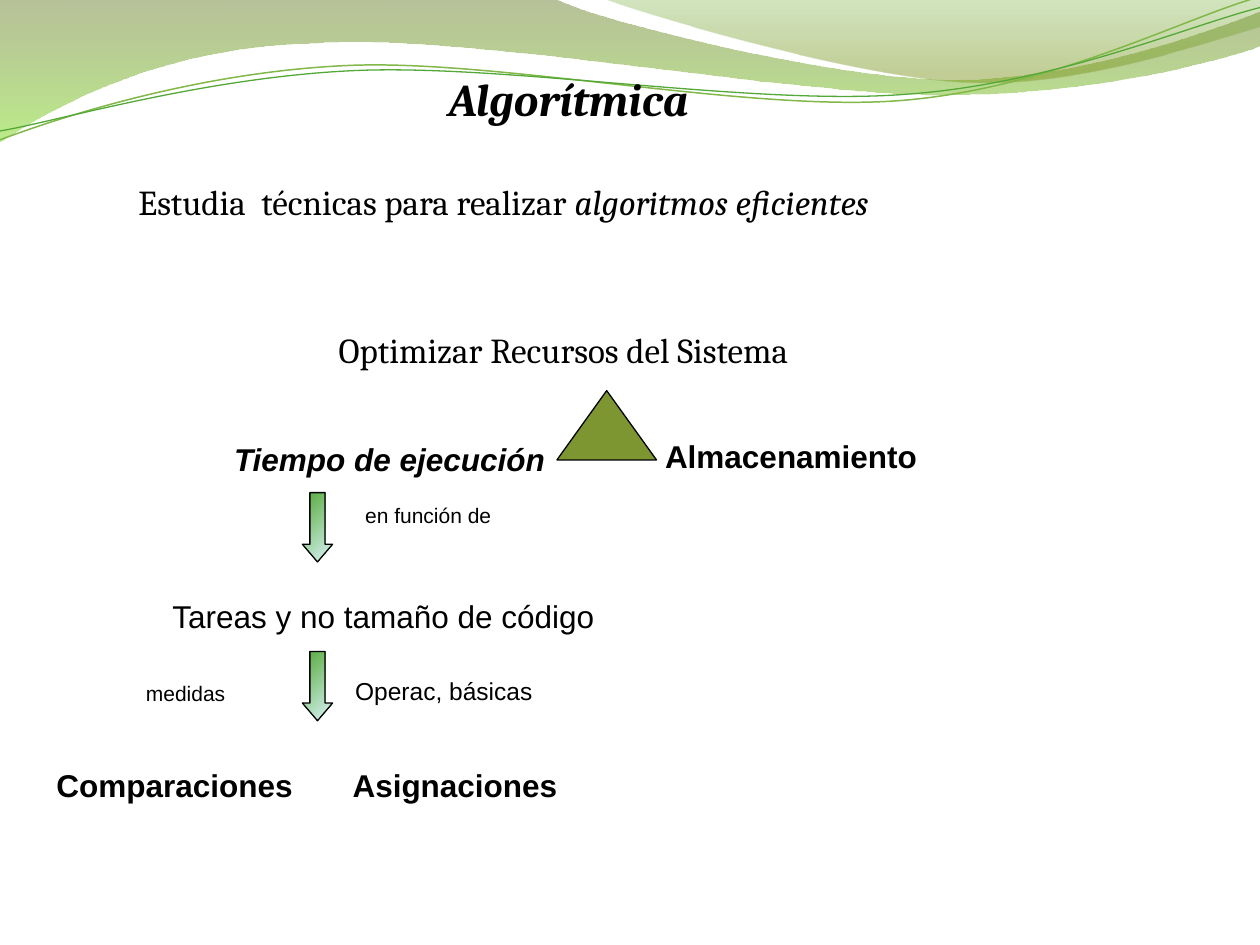
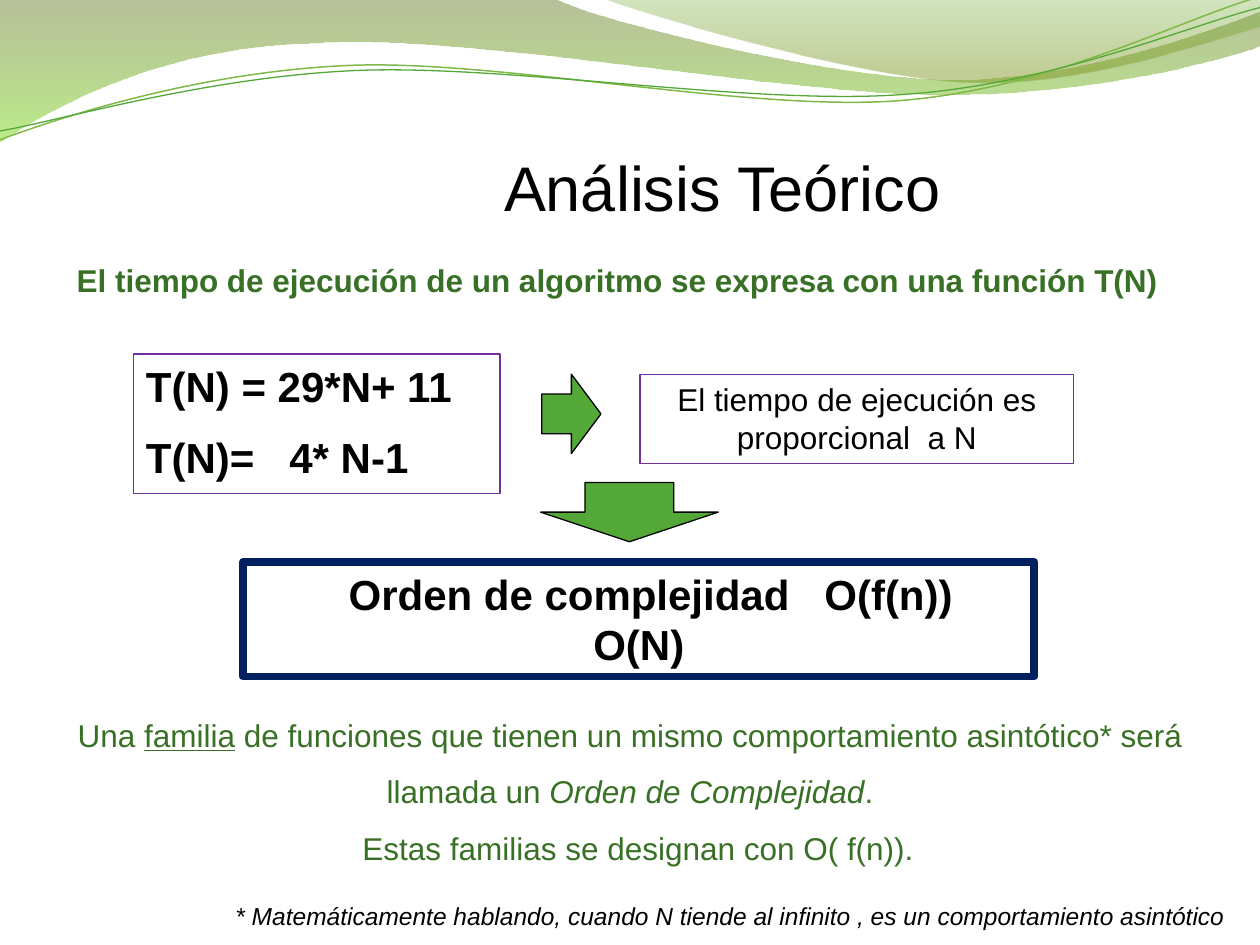
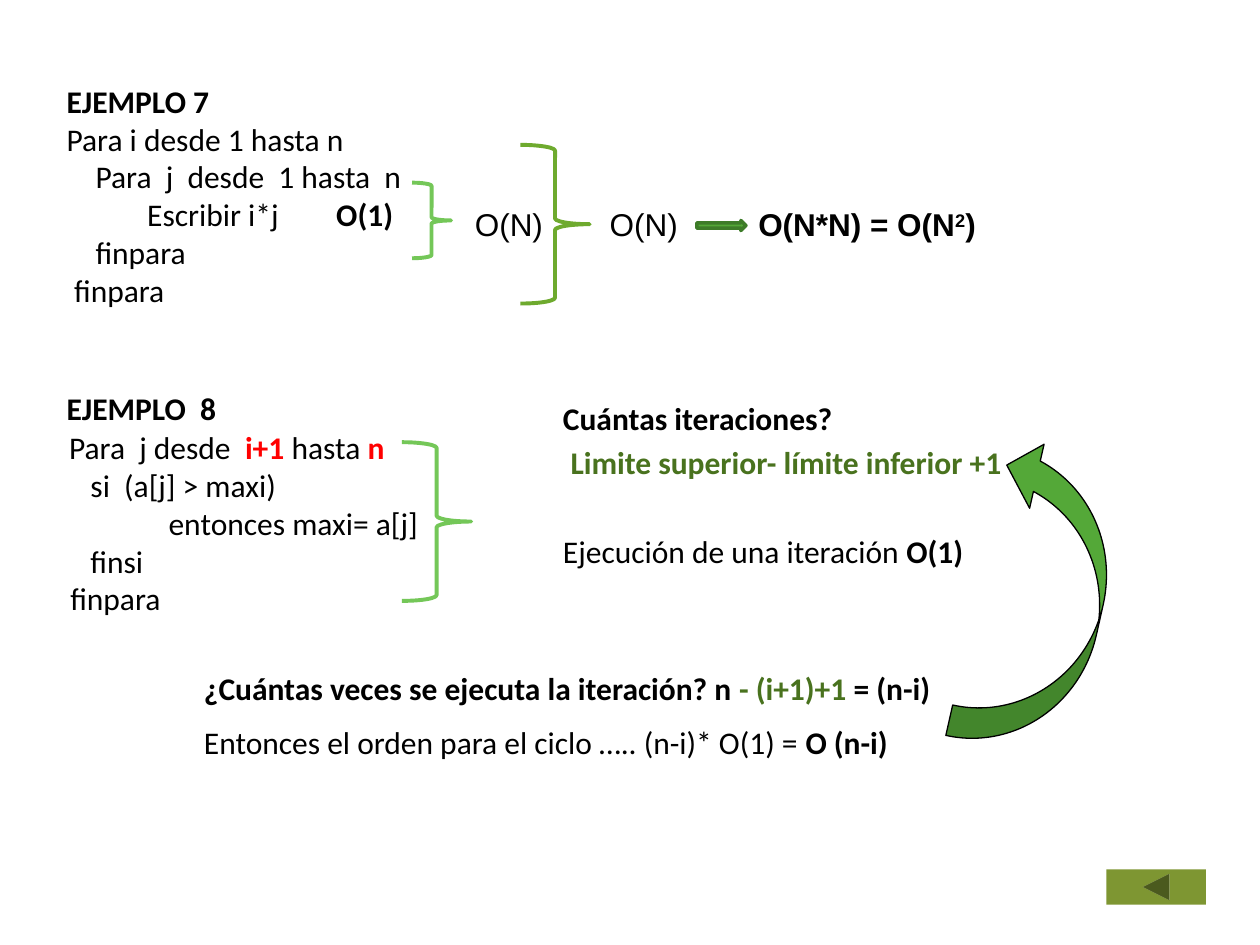
from dataclasses import dataclass
from typing import NamedTuple

from lxml.etree import SubElement
from pptx import Presentation
from pptx.dml.color import RGBColor
from pptx.enum.shapes import MSO_SHAPE
from pptx.enum.text import MSO_ANCHOR, MSO_AUTO_SIZE, PP_ALIGN
from pptx.oxml.ns import qn
from pptx.util import Emu, Pt

PX = 9144  # EMU per px, at 100 px to the inch
FIRST_WAVE_ID = 20

COLORS = {
    "black": "000000",
    "white": "FFFFFF",
    "red": "FF0000",
    "green": "54A838",
    "edge_green": "3E7C29",
    "text_green": "387025",
    "formula_green": "49721E",
    "olive": "7E9632",
    "pale_blue": "DBF5F9",
    "purple": "7030A0",
    "navy": "002060",
    "light_brace": "74C758",
    "dark_brace": "6EAA2E",
    "wave_olive": "61761E",
    "wave_lime": "85DD29",
    "wave_leaf": "6CA82D",
    "wave_moss": "79951B",
    "wave_line": "81B847",
}


class Box(NamedTuple):
    left: int
    top: int
    width: int
    height: int

    def emu(self) -> list[Emu]:
        return [Emu(length * PX) for length in self]


class Stop(NamedTuple):
    color: str
    position: float
    alpha: int = 100


class Gradient(NamedTuple):
    first: Stop
    last: Stop
    clockwise: int


@dataclass(frozen=True)
class Run:
    text: str
    bold: bool | None = None
    italic: bool | None = None
    underline: bool | None = None
    color: str | None = None
    superscript: bool = False


@dataclass(frozen=True)
class Para:
    runs: tuple[Run, ...]
    indent: int = 0
    space_before: float = 0
    tabs: tuple[int, ...] = ()


@dataclass(frozen=True)
class Wave:
    """An outline whose segments hold one point (line) or three (curve)."""
    start: tuple[int, int]
    segments: tuple
    fill: Gradient | None = None
    line: tuple[str, float] | None = None


WAVES = (
    Wave((0, 0), (
        ((440, -1),),
        ((476, 17), (664, 63), (758, 63)),
        ((853, 63), (958, 26), (1000, 9)),
        ((1001, 36),),
        ((983, 44), (870, 76), (746, 75)),
        ((622, 75), (382, 28), (257, 34)),
        ((129, 36), (46, 83), (-1, 113)),
    ), fill=Gradient(Stop("wave_olive", 0, 45), Stop("wave_lime", 1, 55), 90)),
    Wave((479, -1), (
        ((509, 11), (682, 62), (769, 65)),
        ((856, 69), (961, 32), (1000, 21)),
        ((1000, 0),),
    ), fill=Gradient(Stop("wave_leaf", 0, 30), Stop("wave_moss", 0.8, 45), 90)),
    Wave((0, 111), (
        ((48, 93), (158, 57), (277, 52)),
        ((395, 47), (593, 89), (713, 80)),
        ((833, 71), (938, 15), (998, -2)),
    ), line=("wave_line", 0.85)),
    Wave((0, 104), (
        ((47, 96), (164, 61), (283, 56)),
        ((403, 51), (597, 84), (717, 75)),
        ((836, 67), (941, 21), (1000, 6)),
    ), line=("green", 0.75)),
)


def rgb(name: str) -> RGBColor:
    return RGBColor.from_string(COLORS[name])


def style(shape, fill: str | Gradient | None, line: tuple[str, float] | None) -> None:
    shape.shadow.inherit = False
    if fill is None:
        shape.fill.background()
    elif isinstance(fill, Gradient):
        shape.fill.gradient()
        shape.fill.gradient_angle = (360 - fill.clockwise) % 360
        for target, stop in zip(shape.fill.gradient_stops, (fill.first, fill.last)):
            target.color.rgb = rgb(stop.color)
            target.position = stop.position
        colors = list(shape.element.spPr.iter(qn("a:srgbClr")))
        for color, stop in zip(colors, (fill.first, fill.last)):
            if stop.alpha < 100:
                SubElement(color, qn("a:alpha"), val=str(stop.alpha * 1000))
    else:
        shape.fill.solid()
        shape.fill.fore_color.rgb = rgb(fill)
    if line is None:
        shape.line.fill.background()
    else:
        shape.line.color.rgb = rgb(line[0])
        shape.line.width = Pt(line[1])


def bend(shape, segments: tuple) -> None:
    """Turn each three-point segment of a freeform into one Bézier curve."""
    lines = iter(list(shape.element.spPr.iter(qn("a:lnTo"))))
    for segment in segments:
        group = [next(lines) for _ in segment]
        if len(group) == 3:
            curve = SubElement(group[0].getparent(), qn("a:cubicBezTo"))
            group[0].addprevious(curve)
            for line in group:
                curve.append(line[0])
                line.getparent().remove(line)


def draw_wave(slide, wave: Wave):
    builder = slide.shapes.build_freeform(*wave.start, scale=PX)
    points = [point for segment in wave.segments for point in segment]
    builder.add_line_segments(points, close=wave.fill is not None)
    shape = builder.convert_to_shape()
    bend(shape, wave.segments)
    style(shape, wave.fill, wave.line)
    return shape


def put_waves_on_layout(slide) -> None:
    """Draw the wave band once, behind every slide of this slide's layout."""
    layout_tree = slide.slide_layout.shapes.element
    for index, wave in enumerate(WAVES):
        element = draw_wave(slide, wave).element
        element.nvSpPr.cNvPr.set("id", str(FIRST_WAVE_ID + index))
        layout_tree.insert(2 + index, element)


def draw_shape(slide, kind: MSO_SHAPE, box: Box, fill=None, line=None,
               adjustments: tuple[float, ...] = (), rotation: float = 0):
    shape = slide.shapes.add_shape(kind, *box.emu())
    style(shape, fill, line)
    for index, value in enumerate(adjustments):
        shape.adjustments[index] = value
    shape.rotation = rotation
    return shape


def para(*runs: str | Run, indent: int = 0, space_before: float = 0,
         tabs: tuple[int, ...] = ()) -> Para:
    return Para(tuple(Run(run) if isinstance(run, str) else run for run in runs),
                indent, space_before, tabs)


def write_text(shape, *paragraphs: str | Para, size: float = 18, font: str = "Arial",
               color: str = "black", bold: bool = False, italic: bool = False,
               align: PP_ALIGN = PP_ALIGN.LEFT, line_spacing: float | None = None) -> None:
    frame = shape.text_frame
    frame.word_wrap = True
    frame.auto_size = MSO_AUTO_SIZE.NONE
    frame.vertical_anchor = MSO_ANCHOR.TOP
    for index, content in enumerate(paragraphs):
        content = para(content) if isinstance(content, str) else content
        paragraph = frame.paragraphs[0] if index == 0 else frame.add_paragraph()
        paragraph.alignment = align
        paragraph.space_before = Pt(content.space_before)
        if line_spacing:
            paragraph.line_spacing = line_spacing
        properties = paragraph._p.get_or_add_pPr()
        if content.indent:
            properties.set("marL", str(content.indent * PX))
        if content.tabs:
            tab_list = SubElement(properties, qn("a:tabLst"))
            for tab in content.tabs:
                SubElement(tab_list, qn("a:tab"), pos=str(tab * PX), algn="l")
        for part in content.runs:
            run = paragraph.add_run()
            run.text = part.text
            run.font.size = Pt(size)
            run.font.name = font
            run.font.bold = bold if part.bold is None else part.bold
            run.font.italic = italic if part.italic is None else part.italic
            run.font.underline = part.underline
            run.font.color.rgb = rgb(part.color or color)
            if part.superscript:
                run._r.get_or_add_rPr().set("baseline", "30000")


def add_text(slide, box: Box, *paragraphs: str | Para, **text_format) -> None:
    write_text(slide.shapes.add_textbox(*box.emu()), *paragraphs, **text_format)


def add_titled_slide(deck, title: str, box: Box, **text_format):
    slide = deck.slides.add_slide(deck.slide_layouts[5])
    heading = slide.shapes.title
    heading.left, heading.top, heading.width, heading.height = box.emu()
    write_text(heading, title, **text_format)
    return slide


def build_algorithmics(deck) -> None:
    slide = add_titled_slide(deck, "Algorítmica", Box(346, 51, 300, 59),
                             size=26, font="Cambria", bold=True, italic=True)
    put_waves_on_layout(slide)
    add_text(slide, Box(100, 138, 900, 160),
             para("Estudia  técnicas para realizar ",
                  Run("algoritmos eficientes", italic=True)),
             para("Optimizar Recursos del Sistema", indent=159, space_before=60.6),
             size=20, font="Cambria")

    add_text(slide, Box(176, 344, 307, 40), "Tiempo de ejecución", bold=True, italic=True)
    add_text(slide, Box(518, 342, 323, 40), "Almacenamiento", bold=True)
    for arrow_top in (391, 517):
        draw_shape(slide, MSO_SHAPE.DOWN_ARROW, Box(240, arrow_top, 24, 55),
                   Gradient(Stop("green", 0), Stop("pale_blue", 1), 45),
                   ("black", 0.75), adjustments=(0.5, 0.585))
    add_text(slide, Box(280, 394, 142, 33), "en función de", size=12)
    add_text(slide, Box(127, 469, 357, 40), "Tareas y no tamaño de código")
    add_text(slide, Box(106, 535, 142, 33), "medidas", size=12)
    operations = draw_shape(slide, MSO_SHAPE.RECTANGLE, Box(35, 603, 433, 40), "white")
    write_text(operations, para("Comparaciones\tAsignaciones", tabs=(235,)), bold=True)
    add_text(slide, Box(272, 532, 173, 33), "Operac, básicas", size=14)
    draw_shape(slide, MSO_SHAPE.ISOSCELES_TRIANGLE, Box(442, 310, 79, 55),
               "olive", ("black", 0.75))


def build_theory(deck) -> None:
    slide = add_titled_slide(deck, "Análisis Teórico", Box(390, 113, 370, 71), size=36)
    functions = draw_shape(slide, MSO_SHAPE.RECTANGLE, Box(106, 281, 291, 111),
                           line=("purple", 0.75))
    write_text(functions, "T(N) = 29*N+ 11", para("T(N)=   4* N-1", space_before=12),
               size=24, bold=True)
    order = draw_shape(slide, MSO_SHAPE.RECTANGLE, Box(193, 446, 628, 91),
                       line=("navy", 4.5))
    write_text(order, para("Orden de complejidad   O(f(n))", indent=19), "O(N)",
               size=24, bold=True, align=PP_ALIGN.CENTER)
    proportion = draw_shape(slide, MSO_SHAPE.RECTANGLE, Box(508, 297, 344, 71),
                            line=("purple", 0.75))
    write_text(proportion, "El tiempo de ejecución es proporcional  a N",
               align=PP_ALIGN.CENTER)

    for kind, box in ((MSO_SHAPE.DOWN_ARROW, Box(429, 383, 141, 47)),
                      (MSO_SHAPE.RIGHT_ARROW, Box(430, 297, 47, 63))):
        draw_shape(slide, kind, box, "green", ("black", 0.75))

    add_text(slide, Box(35, 548, 930, 146),
             para("Una ", Run("familia", underline=True),
                  " de funciones que tienen un mismo comportamiento asintótico* "
                  "será llamada un ", Run("Orden de Complejidad", italic=True), "."),
             para("Estas familias se designan con O( f(n)).", indent=13),
             color="text_green", align=PP_ALIGN.CENTER, line_spacing=1.5)
    add_text(slide, Box(51, 202, 949, 40),
             "El tiempo de ejecución de un algoritmo se expresa con una función T(N)",
             color="text_green", bold=True)
    add_text(slide, Box(177, 710, 823, 34),
             "* Matemáticamente hablando, cuando N tiende al infinito , "
             "es un comportamiento asintótico", size=14, italic=True)


def build_examples(deck) -> None:
    slide = deck.slides.add_slide(deck.slide_layouts[6])
    add_text(slide, Box(43, 60, 955, 622),
             para(Run("EJEMPLO 7", bold=True)),
             "Para i desde 1 hasta n",
             para("Para  j  desde  1 hasta  n", indent=23),
             para("\tEscribir i*j\t", Run("O(1)", bold=True), tabs=(64, 214)),
             para("finpara", indent=23),
             para("finpara", indent=6), font="Calibri")
    add_text(slide, Box(35, 335, 354, 163),
             para("Para  j desde  ", Run("i+1 ", bold=True, color="red"), "hasta ",
                  Run("n", bold=True, color="red"), indent=10),
             para("si  (a[j] > maxi)", indent=27),
             para("entonces maxi= a[j]", indent=89),
             para("finsi", indent=27),
             para("finpara", indent=11), font="Calibri")
    add_text(slide, Box(43, 304, 140, 40), "EJEMPLO  8", font="Calibri", bold=True)
    add_text(slide, Box(437, 312, 477, 149),
             para(Run("Cuántas iteraciones?", bold=True)),
             para(Run("Limite superior- límite inferior +1", bold=True,
                      color="formula_green"), indent=6, space_before=3.6),
             para("Ejecución de una iteración", Run(" O(1)", bold=True),
                  space_before=29), font="Calibri")
    add_text(slide, Box(152, 526, 638, 85),
             para(Run("¿Cuántas veces se ejecuta la iteración? n", bold=True),
                  Run(" - (i+1)+1 ", bold=True, color="formula_green"),
                  Run("= (n-i)", bold=True)),
             para("Entonces el orden para el ciclo ….. (n-i)* O(1) = ",
                  Run("O (n-i)", bold=True), space_before=9), font="Calibri")
    draw_shape(slide, MSO_SHAPE.ACTION_BUTTON_BACK_OR_PREVIOUS,
               Box(878, 690, 79, 28), "olive")

    for left in (367, 474):
        add_text(slide, Box(left, 158, 78, 40), "O(N)")
    draw_shape(slide, MSO_SHAPE.CURVED_UP_ARROW, Box(703, 425, 246, 99), "green",
               ("black", 0.75), adjustments=(0.25, 0.526, 0.255), rotation=282.7)
    add_text(slide, Box(592, 158, 244, 40),
             para("O(N*N) = O(N", Run("2", superscript=True), ")"), bold=True)
    draw_shape(slide, MSO_SHAPE.RIGHT_ARROW, Box(553, 175, 39, 8),
               "green", ("edge_green", 2))
    for box, color in ((Box(327, 145, 31, 60), "light_brace"),
                       (Box(413, 115, 55, 126), "dark_brace"),
                       (Box(319, 351, 55, 126), "light_brace")):
        draw_shape(slide, MSO_SHAPE.RIGHT_BRACE, box, line=(color, 2.25))


def main() -> None:
    deck = Presentation()
    deck.slide_width, deck.slide_height = Emu(1000 * PX), Emu(750 * PX)
    build_algorithmics(deck)
    build_theory(deck)
    build_examples(deck)
    deck.save("out.pptx")


if __name__ == "__main__":
    main()
